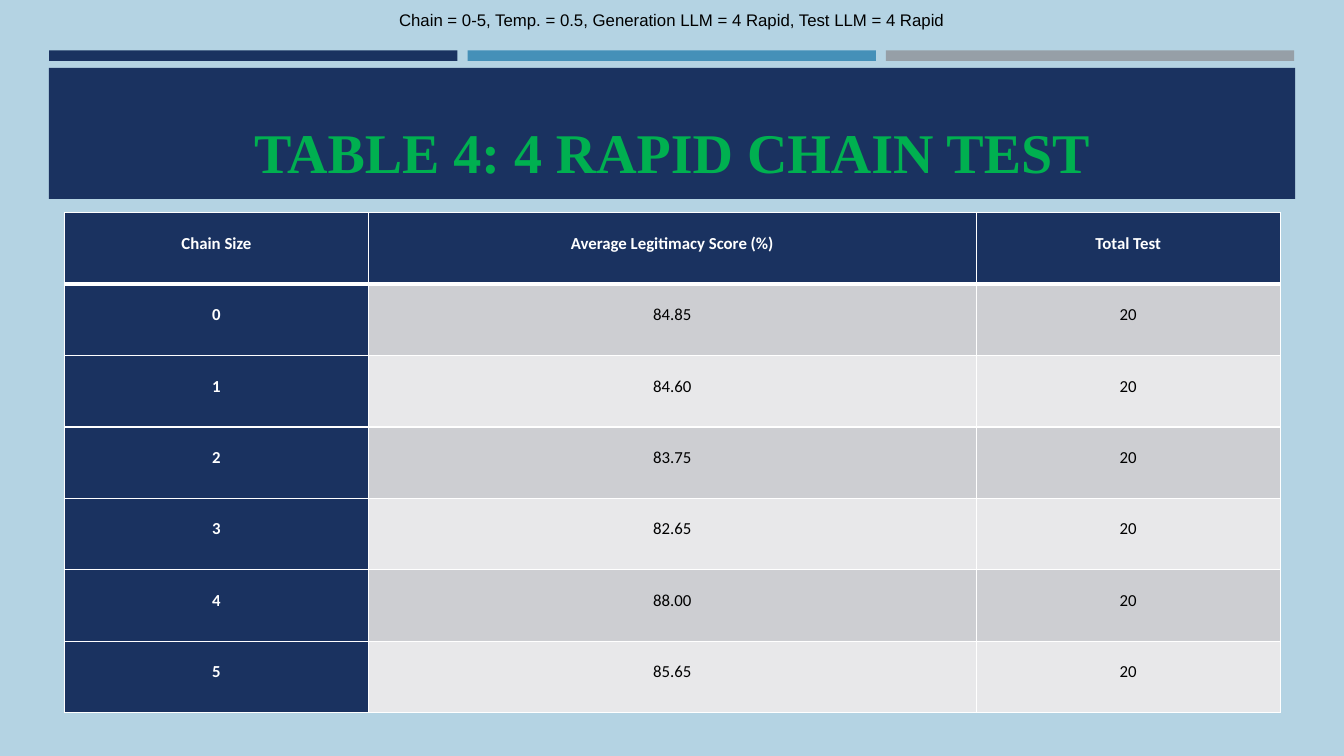
"""Build the slide with the chain test table."""
from dataclasses import dataclass

from lxml import etree
from pptx import Presentation
from pptx.dml.color import RGBColor
from pptx.enum.shapes import MSO_SHAPE
from pptx.enum.text import MSO_ANCHOR, PP_ALIGN
from pptx.oxml.ns import qn
from pptx.util import Inches, Pt

RECT = MSO_SHAPE.RECTANGLE
CENTER = PP_ALIGN.CENTER
TOP, MIDDLE, BOTTOM = MSO_ANCHOR.TOP, MSO_ANCHOR.MIDDLE, MSO_ANCHOR.BOTTOM


@dataclass(frozen=True)
class Theme:
    back: str = "B4D3E3"
    navy: str = "1A3260"
    blue: str = "4590B8"
    gray: str = "969FA7"
    green: str = "00B050"
    white: str = "FFFFFF"
    black: str = "000000"
    bands: tuple = ("CDCED2", "E8E8EA")
    head: int = 40
    body: int = 12
    thin: int = 1
    thick: int = 3


def paint(fill, color):
    fill.solid()
    fill.fore_color.rgb = RGBColor.from_string(color)


def write(frame, text, *, font, size, color, bold=False, space=None):
    para = frame.paragraphs[0]
    para.alignment = CENTER
    para.line_spacing = space
    run = para.add_run()
    run.text = text
    run.font.name = font
    run.font.size = Pt(size)
    run.font.bold = bold
    run.font.color.rgb = RGBColor.from_string(color)


class Deck:
    def __init__(self, theme):
        self.theme = theme
        self.show = Presentation()
        self.show.slide_width = Inches(13.33)
        self.show.slide_height = Inches(7.5)
        self.slide = self.show.slides.add_slide(self.show.slide_layouts[6])
        paint(self.slide.background.fill, theme.back)

    def place(self, left, top, width, height):
        col, row = self.show.slide_width / 100, self.show.slide_height / 100
        return [round(n) for n in (left * col, top * row, width * col, height * row)]

    def block(self, area, color):
        shape = self.slide.shapes.add_shape(RECT, *self.place(*area))
        shape.shadow.inherit = False
        paint(shape.fill, color)
        shape.line.fill.background()

    def label(self, area, text, anchor, **style):
        frame = self.slide.shapes.add_textbox(*self.place(*area)).text_frame
        frame.word_wrap = True
        frame.vertical_anchor = anchor
        write(frame, text, **style)

    def edge(self, cell, sides):
        props = cell._tc.get_or_add_tcPr()
        for spot, (side, width) in enumerate(sides.items()):
            line = etree.Element(qn(f"a:ln{side}"), w=str(Pt(width)))
            fill = etree.SubElement(line, qn("a:solidFill"))
            etree.SubElement(fill, qn("a:srgbClr"), val=self.theme.white)
            props.insert(spot, line)

    def cell(self, cell, text, row, col):
        look = self.theme
        key = row == 0 or col == 0
        cell.margin_left = cell.margin_right = Inches(0.07)
        cell.margin_top = cell.margin_bottom = 0
        cell.vertical_anchor = TOP
        paint(cell.fill, look.navy if key else look.bands[(row - 1) % 2])
        self.edge(cell, {
            "L": look.thin,
            "R": look.thin,
            "T": look.thick if row == 1 else look.thin,
            "B": look.thick if row == 0 else look.thin,
        })
        write(cell.text_frame, text, font="Calibri", size=look.body, bold=key,
              color=look.white if key else look.black, space=2.0)

    def table(self, area, rows, parts):
        spot = self.place(*area)
        grid = self.slide.shapes.add_table(len(rows), len(parts), *spot).table
        for col, part in zip(grid.columns, parts):
            col.width = round(spot[2] * part / sum(parts))
        for r, row in enumerate(rows):
            grid.rows[r].height = round(spot[3] / len(rows))
            for c, text in enumerate(row):
                self.cell(grid.cell(r, c), text, r, c)


def main():
    look = Theme()
    deck = Deck(look)
    for i, color in enumerate((look.navy, look.blue, look.gray)):
        deck.block((3.66 + 31.13 * i, 6.67, 30.38, 1.4), color)
    deck.block((3.63, 8.97, 92.73, 17.33), look.navy)
    deck.label((4.8, 10.27, 90.4, 14.8), "TABLE 4: 4 RAPID CHAIN TEST", BOTTOM,
               font="Times New Roman", size=look.head, color=look.green, bold=True)
    scores = ("84.85", "84.60", "83.75", "82.65", "88.00", "85.65")
    rows = [("Chain Size", "Average Legitimacy Score (%)", "Total Test")]
    rows += [(str(size), score, "20") for size, score in enumerate(scores)]
    deck.table((4.8, 28.16, 90.45, 66.13), rows, (1, 2, 1))
    deck.label((0, 0.67, 100, 4),
               "Chain = 0-5, Temp. = 0.5, Generation LLM = 4 Rapid, Test LLM = 4 Rapid",
               MIDDLE, font="Arial", size=look.body, color=look.black)
    deck.show.save("out.pptx")


if __name__ == "__main__":
    main()
